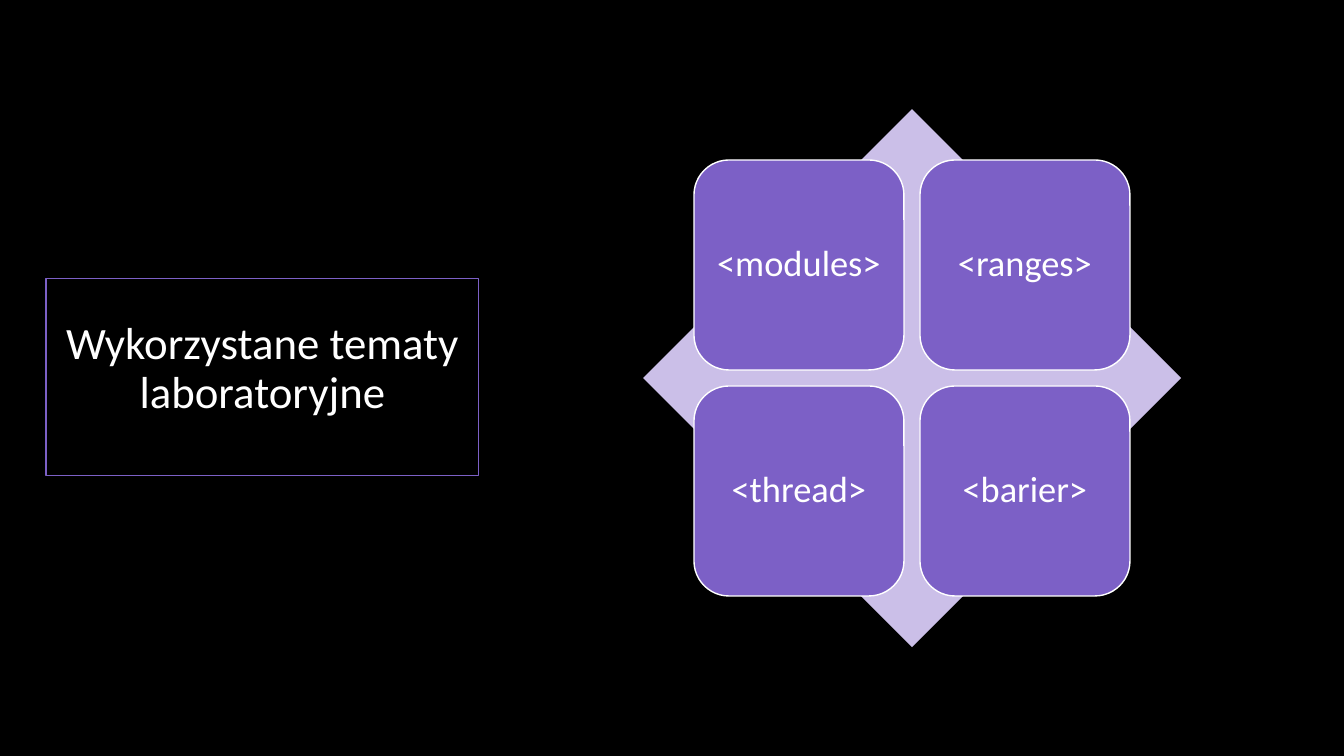
from pptx import Presentation
from pptx.dml.color import RGBColor
from pptx.enum.shapes import MSO_SHAPE as SHAPE
from pptx.enum.text import MSO_ANCHOR as ANCHOR, PP_ALIGN as ALIGN
from pptx.util import Pt

BLACK = RGBColor(0x00, 0x00, 0x00)
WHITE = RGBColor(0xFF, 0xFF, 0xFF)
PURPLE = RGBColor(0x7C, 0x60, 0xC6)
LAVENDER = RGBColor(0xCB, 0xBF, 0xE8)

WIDTH, HEIGHT = 1344, 756
SCALE = 12192000 / WIDTH
FONT = "Calibri"


def px(n):
    return round(n * SCALE)


class Deck:
    def __init__(self):
        self.prs = Presentation()
        self.prs.slide_width, self.prs.slide_height = px(WIDTH), px(HEIGHT)
        self.s = self.prs.slides.add_slide(self.prs.slide_layouts[6])
        self.s.background.fill.solid()
        self.s.background.fill.fore_color.rgb = BLACK

    def shape(self, kind, x, y, w, h, fill=None, line=None, weight=1):
        sp = self.s.shapes.add_shape(kind, px(x), px(y), px(w), px(h))
        sp.shadow.inherit = False
        if fill is None:
            sp.fill.background()
        else:
            sp.fill.solid()
            sp.fill.fore_color.rgb = fill
        if line is None:
            sp.line.fill.background()
        else:
            sp.line.color.rgb = line
            sp.line.width = Pt(weight)
        return sp

    def text(self, sp, text, size, anchor=ANCHOR.MIDDLE, bottom=10):
        tf = sp.text_frame
        tf.word_wrap = True
        tf.vertical_anchor = anchor
        tf.margin_left = tf.margin_right = tf.margin_top = px(10)
        tf.margin_bottom = px(bottom)
        p = tf.paragraphs[0]
        p.alignment = ALIGN.CENTER
        p.line_spacing = 0.9
        r = p.add_run()
        r.text = text
        r.font.name = FONT
        r.font.size = Pt(size)
        r.font.color.rgb = WHITE

    def title(self, text, x, y, w, h):
        sp = self.shape(SHAPE.RECTANGLE, x, y, w, h, line=PURPLE, weight=0.75)
        self.text(sp, text, 32, ANCHOR.BOTTOM, bottom=58)

    def matrix(self, labels, x, y, size, tile, gap):
        self.shape(SHAPE.DIAMOND, x, y, size, size, LAVENDER)
        edge = (size - 2 * tile - gap) // 2
        for i, label in enumerate(labels):
            row, col = divmod(i, 2)
            left = x + edge + col * (tile + gap)
            top = y + edge + row * (tile + gap)
            sp = self.shape(SHAPE.ROUNDED_RECTANGLE, left, top, tile, tile, PURPLE, WHITE)
            self.text(sp, label, 26)


def main():
    deck = Deck()
    deck.title("Wykorzystane tematy laboratoryjne", 46, 279, 433, 197)
    deck.matrix(["<modules>", "<ranges>", "<thread>", "<barier>"], 643, 109, 538, 210, 16)
    deck.prs.save("out.pptx")


if __name__ == "__main__":
    main()
